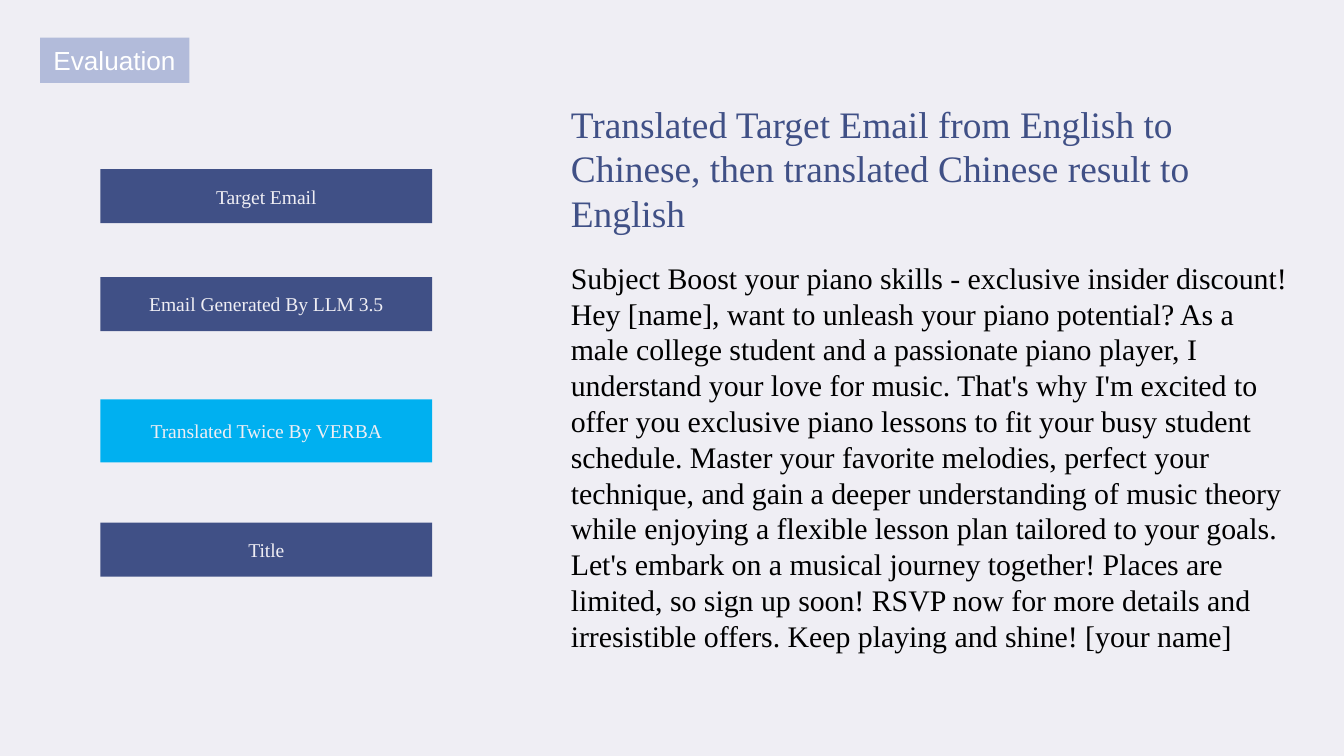
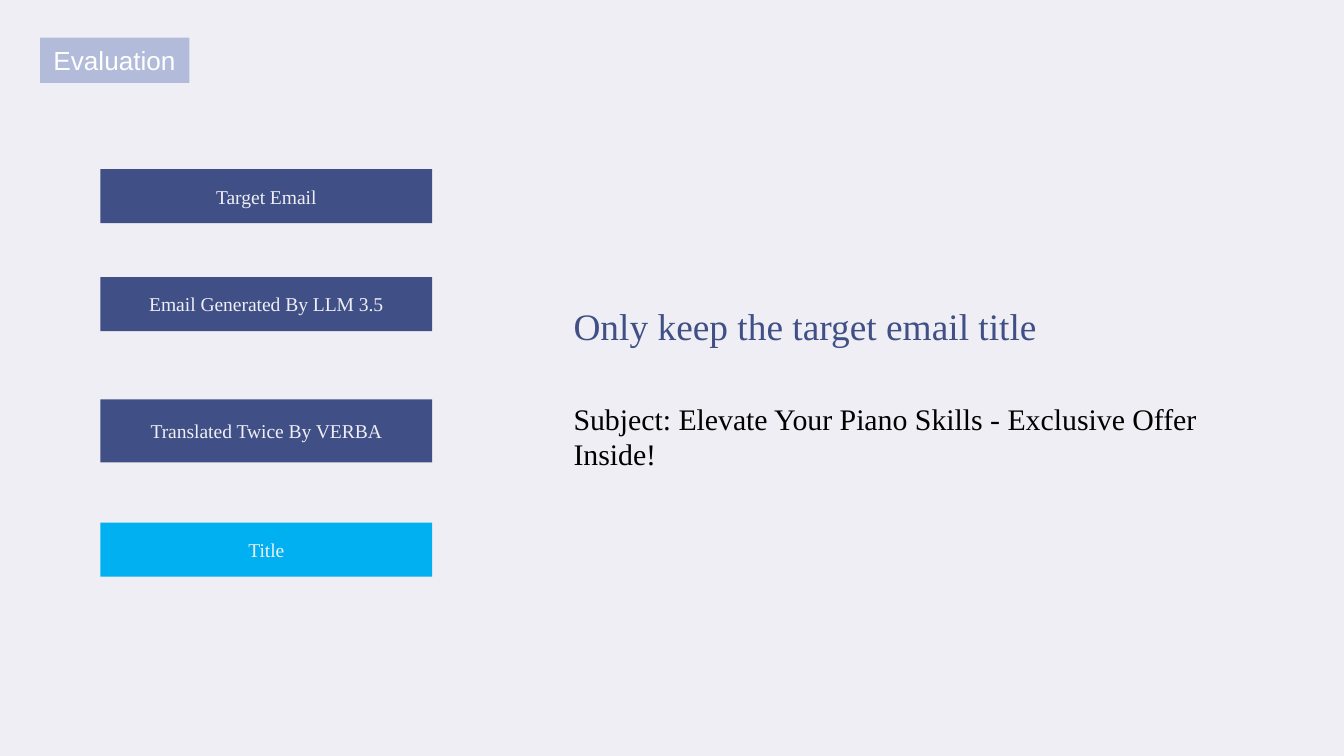
from dataclasses import dataclass

from pptx import Presentation
from pptx import util as u
from pptx.dml.color import RGBColor
from pptx.enum import shapes, text


@dataclass(frozen=True)
class Theme:
    """Colours, fonts and type sizes shared by the slides."""
    paper: str = "EFEEF4"
    navy: str = "405086"
    active: str = "00B0F0"
    tag: str = "B2BBDA"
    white: str = "FFFFFF"
    black: str = "000000"
    serif: str = "Times New Roman"
    sans: str = "Arial"
    heading_size: float = 20
    body_size: float = 16
    tag_size: float = 14
    step_size: float = 10.5


T = Theme()
TAG_BOX = (0.76, 0.71, 2.82, 0.86)
STEPS_BOX = (1.9, 3.2, 6.27, 7.7)
STEPS = [
    ("Target Email", 0, 1.02),
    ("Email Generated By LLM 3.5", 2.04, 1.02),
    ("Translated Twice By VERBA", 4.35, 1.19),
    ("Title", 6.68, 1.02),
]
PAGES = [
    dict(
        active="Translated Twice By VERBA",
        box=(10.54, 1.78, 14.2, 10.95),
        heading="Translated Target Email from English to Chinese, "
                "then translated Chinese result to English",
        heading_height=2.82,
        body_top=3.0,
        body="Subject Boost your piano skills - exclusive insider discount! "
             "Hey [name], want to unleash your piano potential? As a male "
             "college student and a passionate piano player, I understand "
             "your love for music. That's why I'm excited to offer you "
             "exclusive piano lessons to fit your busy student schedule. "
             "Master your favorite melodies, perfect your technique, and gain "
             "a deeper understanding of music theory while enjoying a "
             "flexible lesson plan tailored to your goals. Let's embark on a "
             "musical journey together! Places are limited, so sign up soon! "
             "RSVP now for more details and irresistible offers. Keep playing "
             "and shine! [your name]",
    ),
    dict(
        active="Title",
        box=(10.59, 5.61, 13.92, 9.78),
        heading="Only keep the target email title",
        heading_height=1.12,
        body_top=1.83,
        body="Subject: Elevate Your Piano Skills - Exclusive Offer Inside!",
    ),
]


def write(sp, words, size, color, font=T.serif, align=text.PP_ALIGN.LEFT,
          anchor=text.MSO_ANCHOR.TOP):
    """Set the single paragraph of a shape and its font."""
    tf = sp.text_frame
    tf.word_wrap = True
    tf.vertical_anchor = anchor
    p = tf.paragraphs[0]
    p.text = words
    p.alignment = align
    p.font.size = u.Pt(size)
    p.font.name = font
    p.font.color.rgb = RGBColor.from_string(color)


def add_bar(s, box, fill):
    """Add a flat rectangle without outline."""
    sp = s.shapes.add_shape(shapes.MSO_SHAPE.RECTANGLE, *map(u.Cm, box))
    sp.shadow.inherit = False
    sp.fill.solid()
    sp.fill.fore_color.rgb = RGBColor.from_string(fill)
    sp.line.fill.background()
    return sp


def add_steps(s, box, active):
    """Stack the step bars in the box, with the active one highlighted."""
    left, top, width, _ = box
    for label, offset, height in STEPS:
        fill = T.active if label == active else T.navy
        sp = add_bar(s, (left, top + offset, width, height), fill)
        write(sp, label, T.step_size, T.paper,
              align=text.PP_ALIGN.CENTER, anchor=text.MSO_ANCHOR.MIDDLE)


def add_message(s, box, heading, heading_height, body_top, body):
    """Place a heading at the top of the box and the email text below it."""
    left, top, width, height = box
    parts = [
        (heading, 0, heading_height, T.heading_size, T.navy),
        (body, body_top, height - body_top, T.body_size, T.black),
    ]
    for words, offset, part_height, size, color in parts:
        area = (left, top + offset, width, part_height)
        write(s.shapes.add_textbox(*map(u.Cm, area)), words, size, color)


def add_tag(s, box):
    """Add the section tag."""
    write(add_bar(s, box, T.tag), "Evaluation", T.tag_size, T.white, T.sans)


def add_page(prs, active, **message):
    """Build one evaluation slide."""
    s = prs.slides.add_slide(prs.slide_layouts[6])
    s.background.fill.solid()
    s.background.fill.fore_color.rgb = RGBColor.from_string(T.paper)
    add_steps(s, STEPS_BOX, active)
    add_message(s, **message)
    add_tag(s, TAG_BOX)


def main():
    """Build and save the presentation."""
    prs = Presentation()
    prs.slide_width, prs.slide_height = u.Cm(25.4), u.Cm(14.29)
    for page in PAGES:
        add_page(prs, **page)
    prs.save("out.pptx")


if __name__ == "__main__":
    main()
